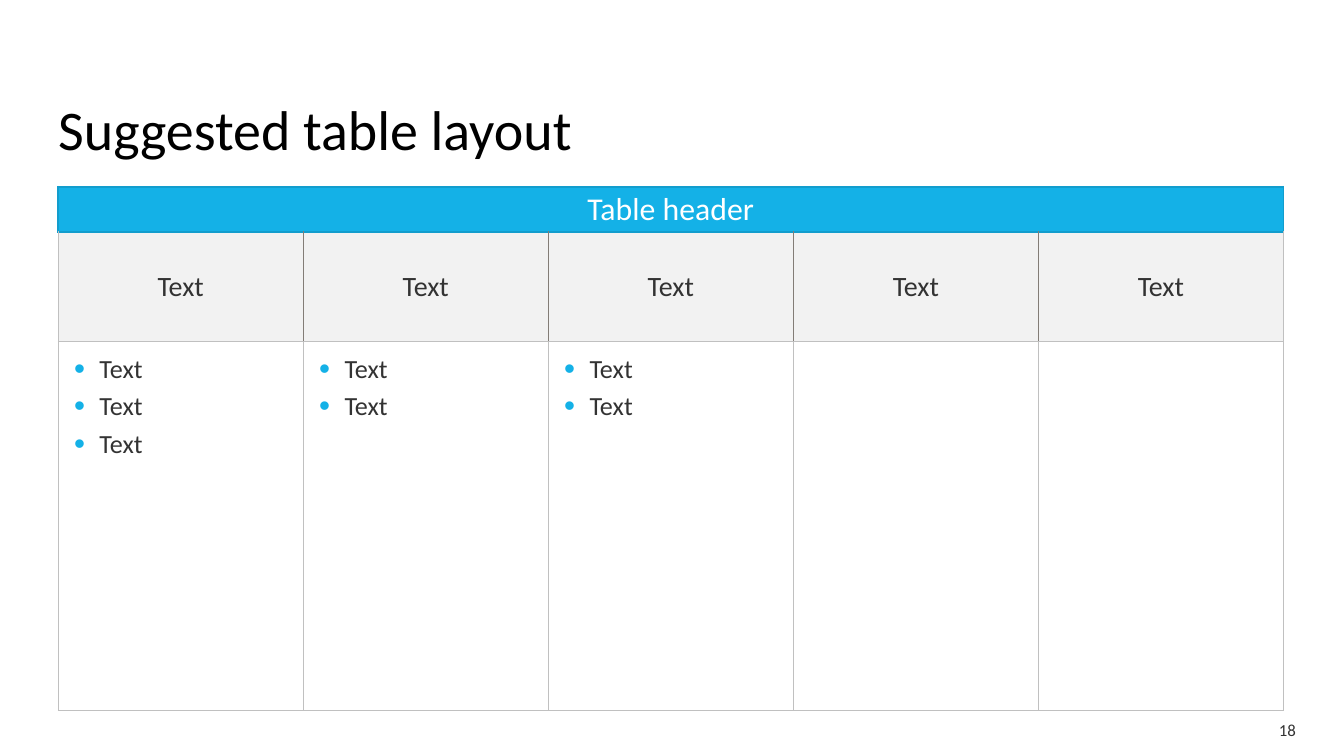
from dataclasses import dataclass

from lxml.etree import SubElement
from pptx import Presentation
from pptx.dml.color import RGBColor as Color
from pptx.enum.text import MSO_ANCHOR as Anchor, PP_ALIGN as Align
from pptx.oxml.ns import qn
from pptx.util import Cm, Pt


@dataclass(frozen=True)
class Theme:
    font: str = "Calibri"
    accent: str = "14B1E7"
    accent_edge: str = "129DCD"
    label_fill: str = "F2F2F2"
    label_edge: str = "837D77"
    grid: str = "C0C0C0"
    white: str = "FFFFFF"
    black: str = "000000"
    ink: str = "333333"
    title_size: float = 30
    header_size: float = 17
    label_size: float = 15
    list_size: float = 14
    number_size: float = 9


THEME = Theme()
LABELS = ["Text"] * 5
LISTS = [["Text"] * count for count in (3, 2, 2, 0, 0)]
ROW_HEIGHTS = (0.85, 2.08, 6.96)


def add_span(para, text, size, color):
    span = para.add_run()
    span.text = text
    span.font.name = THEME.font
    span.font.size = Pt(size)
    span.font.color.rgb = Color.from_string(color)


def set_margins(target, left, top, right, bottom):
    target.margin_left, target.margin_top = Cm(left), Cm(top)
    target.margin_right, target.margin_bottom = Cm(right), Cm(bottom)


def place(shape, box):
    shape.left, shape.top, shape.width, shape.height = map(Cm, box)


def set_borders(cell, left, right, top, bottom):
    properties = cell._tc.get_or_add_tcPr()
    sides = zip("LRTB", (left, right, top, bottom))
    for index, (side, (color, width)) in enumerate(sides):
        line = SubElement(properties, qn(f"a:ln{side}"), w=str(Pt(width)))
        fill = SubElement(line, qn("a:solidFill"))
        SubElement(fill, qn("a:srgbClr"), val=color)
        properties.insert(index, line)


def style_cell(cell, fill, anchor, margins, borders):
    cell.fill.solid()
    cell.fill.fore_color.rgb = Color.from_string(fill)
    cell.vertical_anchor = anchor
    set_margins(cell, *margins)
    set_borders(cell, *borders)


def fill_centered(cell, text, size, color):
    para = cell.text_frame.paragraphs[0]
    para.alignment = Align.CENTER
    para.line_spacing = 0.95
    add_span(para, text, size, color)


def fill_list(cell, items):
    frame = cell.text_frame
    for index, item in enumerate(items):
        para = frame.add_paragraph() if index else frame.paragraphs[0]
        para.line_spacing = 0.95
        para.space_after = Pt(4)
        properties = para._p.get_or_add_pPr()
        properties.set("marL", str(Cm(0.48)))
        properties.set("indent", str(-Cm(0.48)))
        color = SubElement(properties, qn("a:buClr"))
        SubElement(color, qn("a:srgbClr"), val=THEME.accent)
        SubElement(properties, qn("a:buSzPct"), val="120000")
        SubElement(properties, qn("a:buFont"), typeface="Arial")
        SubElement(properties, qn("a:buChar"), char="•")
        add_span(para, item, THEME.list_size, THEME.ink)


def add_title(page, box, text):
    title = page.shapes.title
    place(title, box)
    frame = title.text_frame
    frame.vertical_anchor = Anchor.TOP
    set_margins(frame, 0, 0, 0, 0)
    para = frame.paragraphs[0]
    para.alignment = Align.LEFT
    add_span(para, text, THEME.title_size, THEME.black)


def add_grid(page, box, header, labels, lists):
    count = len(labels)
    table = page.shapes.add_table(3, count, *map(Cm, box)).table
    table.first_row = table.horz_banding = False
    for column in table.columns:
        column.width = Cm(box[2] / count)
    for row, height in zip(table.rows, ROW_HEIGHTS):
        row.height = Cm(height)

    edge, grid = (THEME.accent_edge, 1), (THEME.grid, 0.5)
    divider = (THEME.label_edge, 0.5)
    centered = (0.25, 0.08, 0.25, 0.08)
    for index, (label, items) in enumerate(zip(labels, lists)):
        top, middle, bottom = (table.cell(row, index) for row in range(3))
        left = divider if index else grid
        right = divider if index < count - 1 else grid
        style_cell(top, THEME.accent, Anchor.MIDDLE, centered, [edge] * 4)
        style_cell(middle, THEME.label_fill, Anchor.MIDDLE, centered,
                   (left, right, edge, grid))
        style_cell(bottom, THEME.white, Anchor.TOP, (0.3, 0.23, 0.1, 0.08), [grid] * 4)
        fill_centered(middle, label, THEME.label_size, THEME.ink)
        fill_list(bottom, items)

    first = table.cell(0, 0)
    first.merge(table.cell(0, count - 1))
    fill_centered(first, header, THEME.header_size, THEME.white)


def add_page_number(page, box, number):
    frame = page.shapes.add_textbox(*map(Cm, box)).text_frame
    frame.word_wrap = True
    frame.vertical_anchor = Anchor.BOTTOM
    set_margins(frame, 0, 0, 0, 0)
    para = frame.paragraphs[0]
    para.alignment = Align.RIGHT
    add_span(para, number, THEME.number_size, THEME.ink)


def main():
    deck = Presentation()
    deck.slide_width, deck.slide_height = Cm(25.4), Cm(14.29)
    page = deck.slides.add_slide(deck.slide_layouts.get_by_name("Title Only"))
    add_page_number(page, (18.57, 13.23, 5.92, 0.76), "18")
    add_title(page, (1.1, 1.78, 23.39, 1.65), "Suggested table layout")
    add_grid(page, (1.1, 3.53, 23.16, sum(ROW_HEIGHTS)), "Table header", LABELS, LISTS)
    deck.save("out.pptx")


if __name__ == "__main__":
    main()
